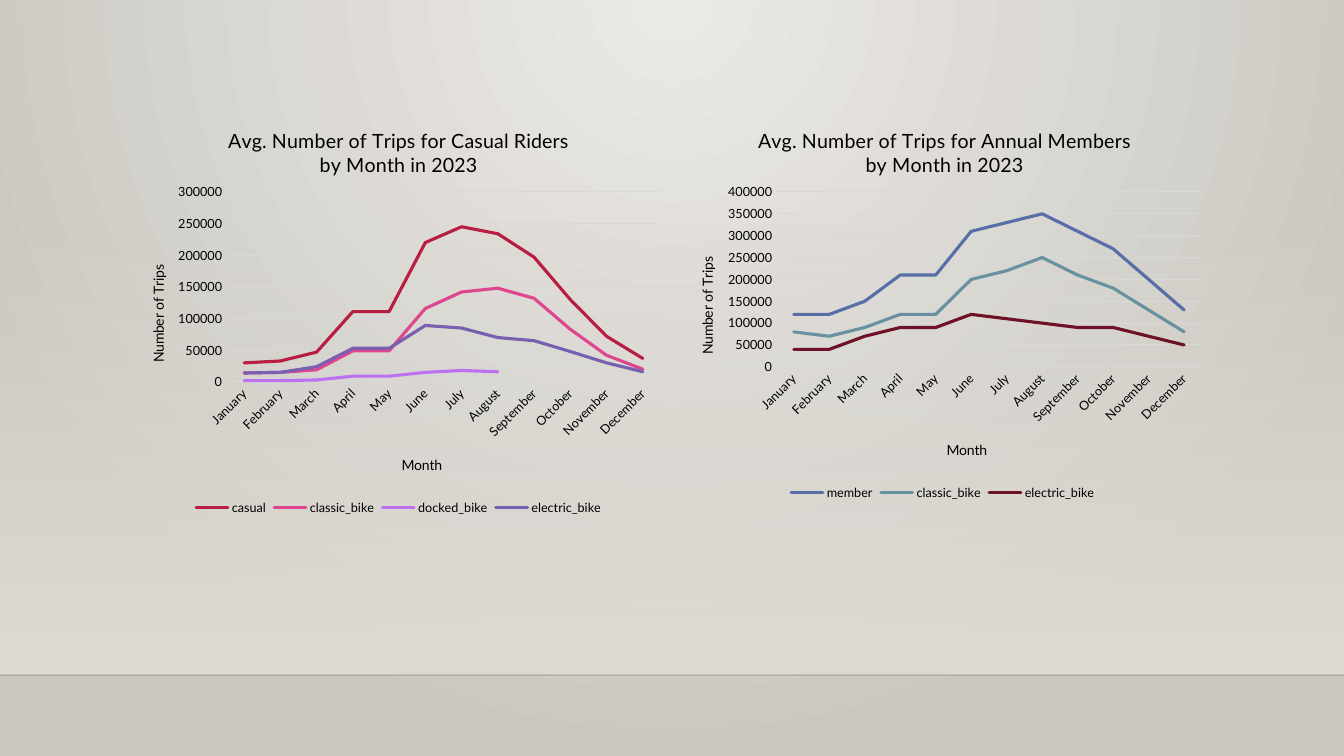
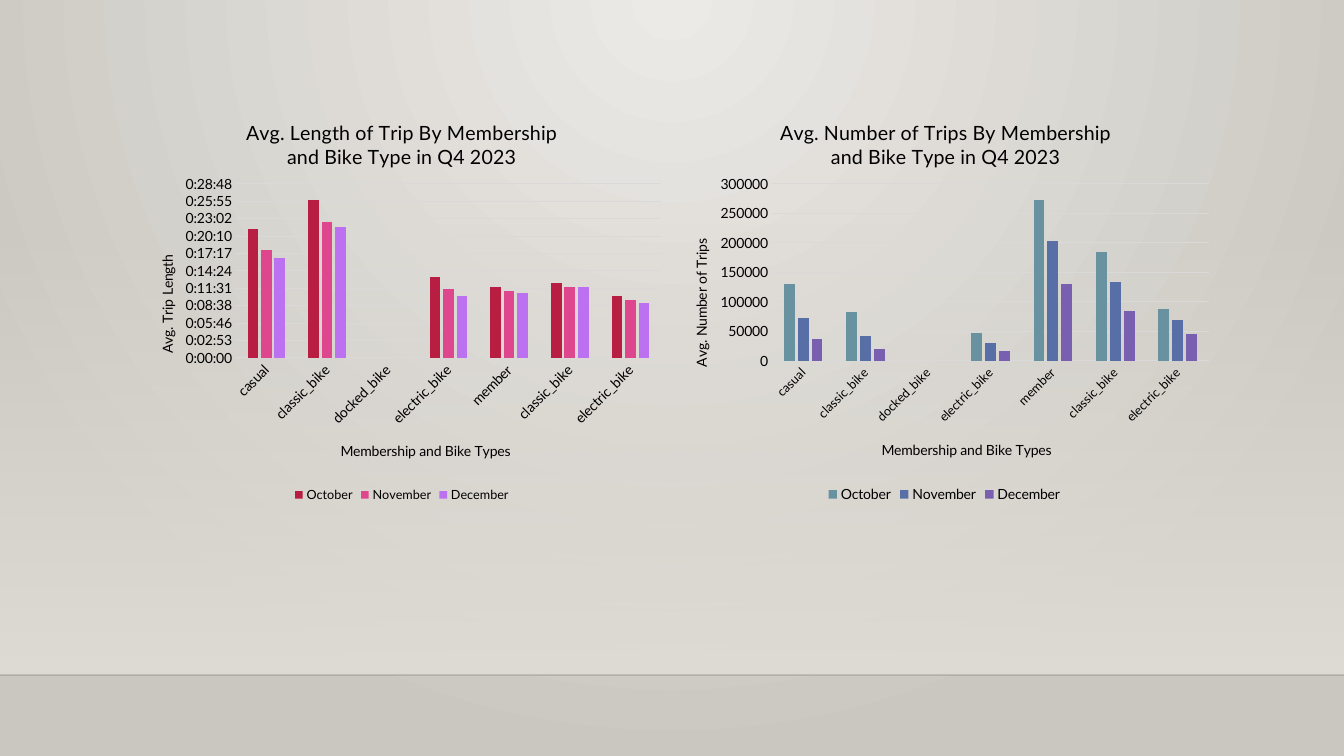
"""Build two slides of paired charts about bike trips in 2023."""
from lxml.etree import SubElement
from pptx import Presentation
from pptx.chart.data import CategoryChartData
from pptx.dml.color import RGBColor
from pptx.enum.chart import XL_CHART_TYPE, XL_LEGEND_POSITION, XL_TICK_MARK
from pptx.enum.shapes import MSO_CONNECTOR, MSO_SHAPE
from pptx.oxml import parse_xml
from pptx.oxml.ns import qn
from pptx.util import Pt

SCALE = 914400 / 100.8
WIDTH, HEIGHT = 1344, 756
BAND_TOP, BAND_BOTTOM = 223, 675
FONT = "Lato"
BLACK, GRID, SAND = "000000", "D9D9D9", "DFDBD5"
CRIMSON, PINK, VIOLET, PURPLE = "B71E42", "DE478E", "BC72F0", "795FAF"
BLUE, TEAL, MAROON = "586EA6", "6892A0", "6E1228"
DRAWING_NS = "http://schemas.openxmlformats.org/drawingml/2006/main"

MONTHS = ["January", "February", "March", "April", "May", "June", "July",
          "August", "September", "October", "November", "December"]
BIKES = ["casual", "classic_bike", "docked_bike", "electric_bike",
         "member", "classic_bike", "electric_bike"]

CASUAL_TRIPS = dict(
    kind=XL_CHART_TYPE.LINE, at=(124, 104, 548, 417), cats=MONTHS,
    title="Avg. Number of Trips for Casual Riders\nby Month in 2023", title_at=(225, 123),
    x_title="Month", x_title_at=(399, 453), x_size=9,
    y_title="Number of Trips", y_title_at=(146, 262), y_size=9,
    y_max=300000, y_step=50000, y_format="General",
    plot=(226, 192, 435, 190), legend_at=(192, 501), legend_size=9,
    series=[
        ("casual", CRIMSON, [30000, 33000, 47000, 111000, 111000, 220000,
                             245000, 234000, 197000, 130000, 72000, 37000]),
        ("classic_bike", PINK, [14000, 15000, 19000, 49000, 49000, 116000,
                                142000, 148000, 132000, 83000, 42000, 20000]),
        ("docked_bike", VIOLET, [2000, 2000, 3000, 9000, 9000, 15000,
                                 18000, 16000, None, None, None, None]),
        ("electric_bike", PURPLE, [14000, 15000, 24000, 53000, 53000, 89000,
                                   85000, 70000, 65000, 48000, 30000, 16000]),
    ])
MEMBER_TRIPS = dict(
    kind=XL_CHART_TYPE.LINE, at=(672, 104, 540, 402), cats=MONTHS,
    title="Avg. Number of Trips for Annual Members\nby Month in 2023", title_at=(755, 123),
    x_title="Month", x_title_at=(944, 438), x_size=9,
    y_title="Number of Trips", y_title_at=(695, 254), y_size=9,
    y_max=400000, y_step=50000, y_format="General",
    plot=(776, 192, 426, 175), legend_at=(787, 486), legend_size=9,
    series=[
        ("member", BLUE, [120000, 120000, 150000, 210000, 210000, 310000,
                          330000, 350000, 310000, 270000, 200000, 130000]),
        ("classic_bike", TEAL, [80000, 70000, 90000, 120000, 120000, 200000,
                                220000, 250000, 210000, 180000, 130000, 80000]),
        ("electric_bike", MAROON, [40000, 40000, 70000, 90000, 90000, 120000,
                                   110000, 100000, 90000, 90000, 70000, 50000]),
    ])
TRIP_LENGTH = dict(
    kind=XL_CHART_TYPE.COLUMN_CLUSTERED, at=(131, 96, 540, 412), cats=BIKES,
    title="Avg. Length of Trip By Membership\nand Bike Type in Q4 2023", title_at=(243, 115),
    x_title="Membership and Bike Types", x_title_at=(338, 439), x_size=10,
    y_title="Avg. Trip Length", y_title_at=(155, 252), y_size=10,
    y_max=0.02, y_step=0.002, y_format="[h]:mm:ss;@",
    plot=(236, 184, 425, 174), legend_at=(291, 487), legend_size=9,
    series=[
        ("October", CRIMSON, [0.0148, 0.0181, None, 0.0093, 0.0081, 0.0086, 0.0071]),
        ("November", PINK, [0.0124, 0.0156, None, 0.0079, 0.0077, 0.0082, 0.0067]),
        ("December", VIOLET, [0.0115, 0.015, None, 0.0071, 0.0075, 0.0082, 0.0063]),
    ])
TRIP_COUNT = dict(
    kind=XL_CHART_TYPE.COLUMN_CLUSTERED, at=(665, 96, 555, 412), cats=BIKES,
    title="Avg. Number of Trips By Membership\nand Bike Type in Q4 2023", title_at=(777, 115),
    x_title="Membership and Bike Types", x_title_at=(879, 438), x_size=9,
    y_title="Avg. Number of Trips", y_title_at=(689, 236), y_size=10,
    y_max=300000, y_step=50000, y_format="General",
    plot=(772, 184, 437, 177), legend_at=(824, 486), legend_size=10,
    series=[
        ("October", TEAL, [130000, 83000, None, 48000, 273000, 185000, 88000]),
        ("November", BLUE, [72000, 42000, None, 30000, 203000, 133000, 69000]),
        ("December", PURPLE, [37000, 20000, None, 16000, 130000, 84000, 46000]),
    ])
SLIDES = [(CASUAL_TRIPS, MEMBER_TRIPS), (TRIP_LENGTH, TRIP_COUNT)]


def px(*lengths):
    return [round(n * SCALE) for n in lengths]


def rgb(value):
    return RGBColor.from_string(value)


def style(font, size, color=BLACK):
    font.name, font.size, font.bold = FONT, Pt(size), False
    font.color.rgb = rgb(color)


def gradient(stops, direction):
    marks = "".join(
        f'<a:gs pos="{pos}"><a:srgbClr val="{color}"><a:alpha val="{alpha}"/></a:srgbClr></a:gs>'
        for pos, color, alpha in stops)
    return parse_xml(f'<a:gradFill xmlns:a="{DRAWING_NS}" rotWithShape="1">'
                     f'<a:gsLst>{marks}</a:gsLst>{direction}</a:gradFill>')


def swap_fill(parent, fill):
    parent.replace(parent.find(qn("a:solidFill")), fill)


def decorate_master(prs, s):
    master = prs.slide_master
    master.background.fill.solid()
    swap_fill(master.element.find(".//" + qn("p:bgPr")), gradient(
        [(0, "ECEAE7", 100000), (100000, "CAC7C1", 100000)],
        '<a:path path="circle"><a:fillToRect l="43000" r="43000" b="100000"/></a:path>'))

    band = s.shapes.add_shape(MSO_SHAPE.RECTANGLE, *px(0, BAND_TOP, WIDTH, BAND_BOTTOM - BAND_TOP))
    band.shadow.inherit = False
    band.line.fill.background()
    band.fill.solid()
    swap_fill(band.element.spPr, gradient(
        [(0, SAND, 0), (100000, SAND, 100000)], '<a:lin ang="5400000" scaled="0"/>'))

    rule = s.shapes.add_connector(MSO_CONNECTOR.STRAIGHT, *px(0, BAND_BOTTOM, WIDTH, BAND_BOTTOM))
    rule.line.width = Pt(1)
    rule.line.color.rgb = rgb("000001")
    SubElement(rule.element.find(".//" + qn("a:srgbClr")), qn("a:alpha")).set("val", "20000")
    SubElement(rule.element.spPr, qn("a:effectLst"))

    tree = master.shapes.element
    for index, sp in enumerate((band, rule), 2):
        tree.insert(index, sp.element)


def place(element, index, frame, spot):
    """Give a chart part a fixed position, as fractions of the chart frame."""
    for old in element.findall(qn("c:layout")):
        element.remove(old)
    layout = element.makeelement(qn("c:layout"))
    element.insert(index, layout)
    manual = SubElement(layout, qn("c:manualLayout"))
    left, top, width, height = frame
    values = [("xMode", "edge"), ("yMode", "edge"),
              ("x", (spot[0] - left) / width), ("y", (spot[1] - top) / height)]
    if len(spot) == 4:
        values.insert(0, ("layoutTarget", "inner"))
        values += [("w", spot[2] / width), ("h", spot[3] / height)]
    for tag, value in values:
        text = value if isinstance(value, str) else f"{value:.4f}"
        SubElement(manual, qn("c:" + tag)).set("val", text)


def add_title(title, text, size, frame, spot):
    tf = title.text_frame
    tf.text = text
    for p in tf.paragraphs:
        style(p.font, size)
    place(title._element, 1, frame, spot)


def format_axis(axis, size):
    axis.major_tick_mark = axis.minor_tick_mark = XL_TICK_MARK.NONE
    style(axis.tick_labels.font, size)


def add_chart(s, c):
    data = CategoryChartData()
    data.categories = c["cats"]
    for name, _, values in c["series"]:
        data.add_series(name, values)
    frame = c["at"]
    chart = s.shapes.add_chart(c["kind"], *px(*frame), data).chart
    style(chart.font, 10)
    chart.has_title = True
    add_title(chart.chart_title, c["title"], 14, frame, c["title_at"])

    x, y = chart.category_axis, chart.value_axis
    format_axis(x, c["x_size"])
    format_axis(y, c["y_size"])
    add_title(x.axis_title, c["x_title"], 10, frame, c["x_title_at"])
    add_title(y.axis_title, c["y_title"], 10, frame, c["y_title_at"])
    y.axis_title._element.find(".//" + qn("a:bodyPr")).set("rot", "-5400000")
    x._element.find(qn("c:txPr")).find(qn("a:bodyPr")).set("rot", "-2700000")
    y.minimum_scale, y.maximum_scale, y.major_unit = 0, c["y_max"], c["y_step"]
    y.tick_labels.number_format = c["y_format"]
    y.tick_labels.number_format_is_linked = False
    y.has_major_gridlines = True
    for line in (x.format.line, y.major_gridlines.format.line):
        line.color.rgb = rgb(GRID)
        line.width = Pt(0.75)
    y.format.line.fill.background()

    chart.has_legend = True
    chart.legend.position = XL_LEGEND_POSITION.BOTTOM
    chart.legend.include_in_layout = False
    style(chart.legend.font, c["legend_size"])
    place(chart.legend._element, 1, frame, c["legend_at"])
    place(chart.element.find(".//" + qn("c:plotArea")), 0, frame, c["plot"])

    plot = chart.plots[0]
    plot.vary_by_categories = False
    is_line = c["kind"] == XL_CHART_TYPE.LINE
    if not is_line:
        plot.gap_width, plot.overlap = 219, -27
    for series, (_, color, _) in zip(plot.series, c["series"]):
        if is_line:
            series.smooth = False
            series.format.line.width = Pt(2.25)
            series.format.line.color.rgb = rgb(color)
            series.format.line._ln.set("cap", "rnd")
        else:
            series.format.fill.solid()
            series.format.fill.fore_color.rgb = rgb(color)


def main():
    prs = Presentation()
    prs.slide_width, prs.slide_height = px(WIDTH, HEIGHT)
    for number, charts in enumerate(SLIDES):
        s = prs.slides.add_slide(prs.slide_layouts[6])
        if number == 0:
            decorate_master(prs, s)
        for c in charts:
            add_chart(s, c)
    prs.save("out.pptx")


if __name__ == "__main__":
    main()
